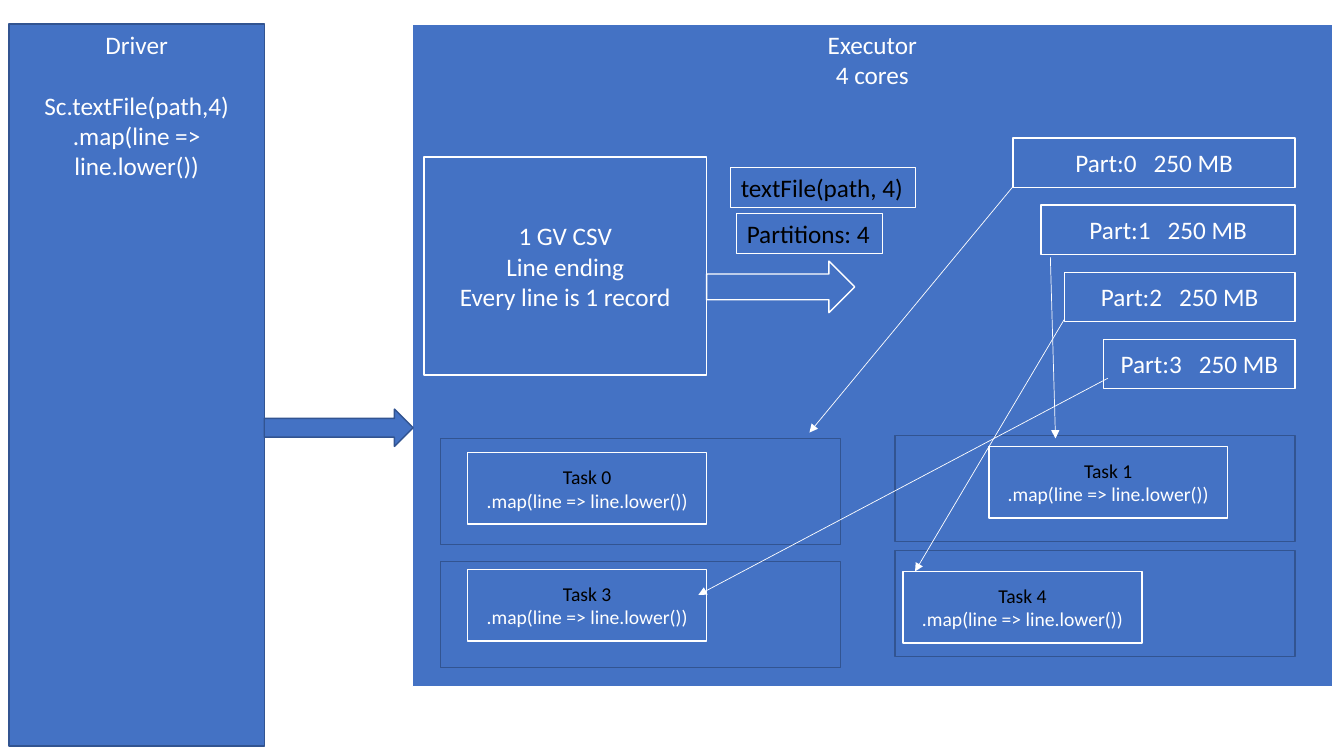
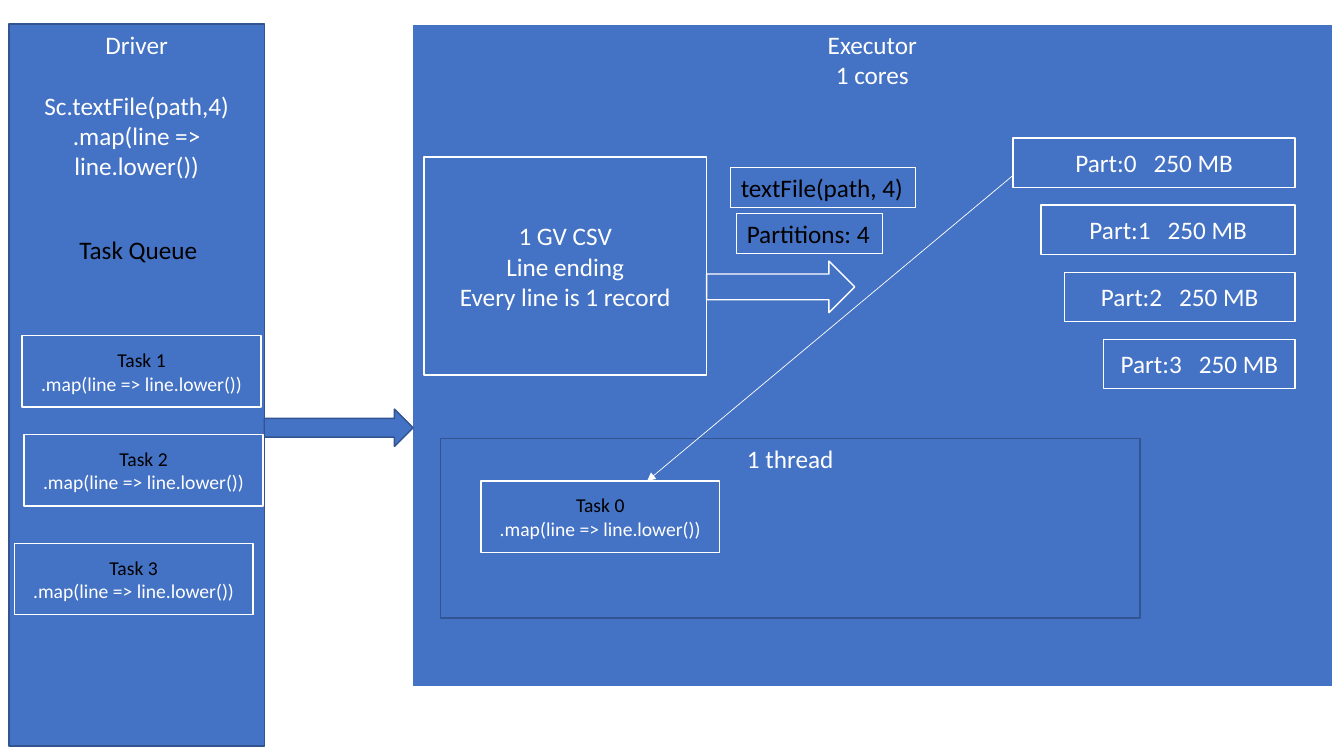
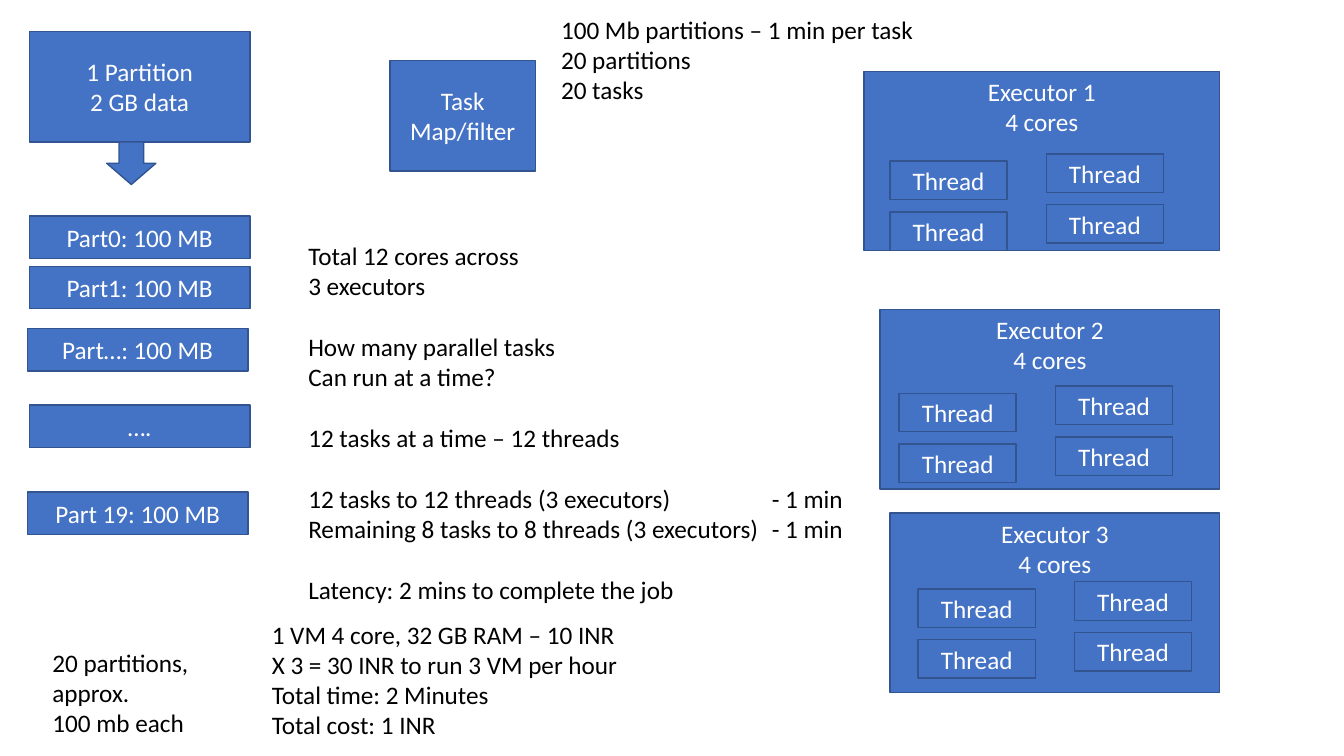
from dataclasses import dataclass

from lxml import etree
from pptx import Presentation
from pptx.dml.color import RGBColor
from pptx.enum.shapes import MSO_CONNECTOR, MSO_SHAPE
from pptx.enum.text import MSO_ANCHOR, MSO_AUTO_SIZE, PP_ALIGN
from pptx.oxml.ns import qn
from pptx.util import Cm, Pt

RECT = MSO_SHAPE.RECTANGLE
RIGHT_ARROW = MSO_SHAPE.RIGHT_ARROW
DOWN_ARROW = MSO_SHAPE.DOWN_ARROW
STRAIGHT = MSO_CONNECTOR.STRAIGHT
TOP, MIDDLE = MSO_ANCHOR.TOP, MSO_ANCHOR.MIDDLE
LEFT, CENTER = PP_ALIGN.LEFT, PP_ALIGN.CENTER
FIT_SHAPE = MSO_AUTO_SIZE.SHAPE_TO_FIT_TEXT


@dataclass(frozen=True)
class Theme:
    """Colours, type and line weights shared by all slides."""
    font: str = "Calibri"
    body: float = 18
    small: float = 14
    skipped_line: float = 22
    wide_space: float = 8
    blue: RGBColor = RGBColor(0x44, 0x72, 0xC4)
    edge: RGBColor = RGBColor(0x32, 0x54, 0x91)
    white: RGBColor = RGBColor(0xFF, 0xFF, 0xFF)
    black: RGBColor = RGBColor(0, 0, 0)
    outline: float = 1
    label_outline: float = 0.75
    link: float = 0.5


THEME = Theme()


@dataclass(frozen=True)
class Box:
    """A region of the slide in centimetres."""
    left: float
    top: float
    width: float
    height: float

    def inner(self, dx, dy, width, height):
        """Return a box placed relative to this one."""
        return Box(self.left + dx, self.top + dy, width, height)

    def point(self, dx, dy):
        """Return a point placed relative to this box."""
        return Cm(self.left + dx), Cm(self.top + dy)

    def lengths(self):
        """Return left, top, width and height as lengths."""
        return Cm(self.left), Cm(self.top), Cm(self.width), Cm(self.height)


@dataclass(frozen=True)
class Line:
    """A line of text with its colour, gap above, wide space and tab stop."""
    text: str
    color: RGBColor = None
    skip: bool = False
    wide_after: str = ""
    tab: float = 0


def write(frame, lines, color, size, align):
    """Write the lines as paragraphs of a text frame."""
    for index, entry in enumerate(lines):
        line = entry if isinstance(entry, Line) else Line(entry)
        paragraph = frame.paragraphs[0] if index == 0 else frame.add_paragraph()
        paragraph.alignment = align
        if line.skip:
            paragraph.space_before = Pt(THEME.skipped_line)
        if line.tab:
            tabs = etree.SubElement(paragraph._p.get_or_add_pPr(), qn("a:tabLst"))
            etree.SubElement(tabs, qn("a:tab"), pos=str(int(Cm(line.tab))), algn="l")
        font = paragraph.font
        font.name, font.size = THEME.font, Pt(size)
        font.color.rgb = line.color or color
        if line.wide_after:
            paragraph.add_run().text = line.wide_after
            space = paragraph.add_run()
            space.text = " "
            space._r.get_or_add_rPr().set("spc", str(int(THEME.wide_space * 100)))
        paragraph.add_run().text = line.text


def add_block(slide, box, lines=(), edge=THEME.edge, anchor=MIDDLE,
              size=THEME.body, kind=RECT):
    """Add a blue outlined shape with centred text."""
    block = slide.shapes.add_shape(kind, *box.lengths())
    block.shadow.inherit = False
    block.fill.solid()
    block.fill.fore_color.rgb = THEME.blue
    block.line.color.rgb = edge
    block.line.width = Pt(THEME.outline)
    block.text_frame.word_wrap = True
    block.text_frame.vertical_anchor = anchor
    write(block.text_frame, lines, THEME.white, size, CENTER)


def add_note(slide, box, lines, wrap=False, outlined=False):
    """Add black text without a fill."""
    note = slide.shapes.add_textbox(*box.lengths())
    note.text_frame.word_wrap = wrap
    note.text_frame.auto_size = FIT_SHAPE
    if outlined:
        note.line.color.rgb = THEME.white
        note.line.width = Pt(THEME.label_outline)
    write(note.text_frame, lines, THEME.black, THEME.body, LEFT)


def add_link(slide, start, end):
    """Add a thin white arrow between two points."""
    link = slide.shapes.add_connector(STRAIGHT, *start, *end)
    link.line.color.rgb = THEME.white
    link.line.width = Pt(THEME.link)
    etree.SubElement(link.line._get_or_add_ln(), qn("a:tailEnd"), type="triangle")
    etree.SubElement(link._element.spPr, qn("a:effectLst"))


def add_task(slide, region, dx, dy, number):
    """Add a numbered map task inside a region."""
    lines = [Line(f"Task {number}", THEME.black), ".map(line => line.lower())"]
    add_block(slide, region.inner(dx, dy, 6.02, 1.8), lines, THEME.white, size=THEME.small)


def add_driver(slide, box):
    """Draw the driver with its program and the arrow to the executor."""
    program = ["Driver", Line("Sc.textFile(path,4)", skip=True), ".map(line => line.lower())"]
    add_block(slide, box, program, anchor=TOP)
    add_block(slide, box.inner(box.width, 9.7, 3.75, 0.94), kind=RIGHT_ARROW)


def add_executor(slide, box, cores):
    """Draw the executor that splits a file into partitions."""
    add_block(slide, box, ["Executor", f"{cores} cores"], THEME.white, TOP)
    file_lines = ["1 GV CSV", "Line ending", "Every line is 1 record"]
    add_block(slide, box.inner(0.3, 3.35, 7.11, 5.49), file_lines, THEME.white)
    add_block(slide, box.inner(7.42, 5.97, 3.73, 1.3), edge=THEME.white, kind=RIGHT_ARROW)
    add_note(slide, box.inner(8.18, 4.77, 3.66, 1.02), ["Partitions: 4"], outlined=True)
    add_note(slide, box.inner(8.03, 3.61, 4.65, 1.02), ["textFile(path, 4)"], outlined=True)
    parts_right, parts_top, part_step = 22.25, 2.87, 1.69
    for number, width in enumerate((7.11, 6.4, 5.82, 4.83)):
        part = box.inner(parts_right - width, parts_top + number * part_step, width, 1.24)
        add_block(slide, part, [Line("250 MB", wide_after=f"Part:{number}")], THEME.white)


def add_cores(slide, executor):
    """Draw four cores, each with a task fed by one partition."""
    cores = (
        (0.71, 10.44, 0.69, 0.36, 0),
        (12.17, 10.36, 2.36, 0.28, 1),
        (0.71, 13.54, 0.69, 0.2, 3),
        (12.17, 13.26, 0.2, 0.53, 4),
    )
    for left, top, task_dx, task_dy, number in cores:
        core = executor.inner(left, top, 10.08, 2.67)
        add_block(slide, core)
        add_task(slide, core, task_dx, task_dy, number)
    links = (
        ((15.14, 4.09), (10.01, 10.29)),
        ((16.08, 5.87), (16.21, 10.44)),
        ((16.43, 7.44), (12.67, 13.79)),
        ((17.53, 8.92), (7.21, 14.38)),
    )
    for start, end in links:
        add_link(slide, executor.point(*start), executor.point(*end))


def add_single_thread(slide, executor):
    """Draw the only thread with its running task."""
    thread = executor.inner(0.71, 10.44, 17.63, 4.52)
    add_block(slide, thread, ["1 thread"], anchor=TOP)
    add_task(slide, thread, 1.02, 1.07, 0)
    add_link(slide, executor.point(15.14, 3.81), executor.point(5.92, 11.51))


def add_task_queue(slide, driver):
    """Draw the tasks that wait in the driver."""
    add_note(slide, driver.inner(1.52, 5.16, 3.51, 1.02), ["Task Queue"])
    for number, (dx, dy) in enumerate(((0.33, 7.85), (0.38, 10.34), (0.13, 13.08)), 1):
        add_task(slide, driver, dx, dy, number)


def add_partitions(slide, box):
    """Draw the large partition and the parts it is split into."""
    add_block(slide, box.inner(0, 0, box.width, 2.79), ["1 Partition", "2 GB data"])
    add_block(slide, box.inner(1.95, 2.79, 1.24, 1.07), kind=DOWN_ARROW)
    parts = (
        (0, 4.65, "Part0: 100 MB"),
        (0, 5.92, "Part1: 100 MB"),
        (-0.05, 7.49, "Part…: 100 MB"),
        (0, 9.42, "…."),
        (-0.05, 11.61, "Part 19: 100 MB"),
    )
    for dx, dy, text in parts:
        add_block(slide, box.inner(dx, dy, box.width, 1.07), [text])


def add_thread_pool(slide, box, number, dx, dy):
    """Draw an executor with a two by two grid of threads."""
    add_block(slide, box, [f"Executor {number}", "4 cores"], anchor=TOP)
    column_step, row_step, lift = 3.94, 1.28, 0.18
    for row in range(2):
        for column in range(2):
            left = dx + column * column_step
            top = dy + row * row_step - column * lift
            add_block(slide, box.inner(left, top, 2.95, 0.97), ["Thread"])


def add_cluster(slide, box):
    """Draw the three executors, aligned on their right edge."""
    pools = ((0, 8.97, 0.66, 2.26), (6, 8.56, 0.48, 2.11), (11.13, 8.31, 0.71, 1.91))
    for number, (top, width, dx, dy) in enumerate(pools, 1):
        pool = box.inner(box.width - width, top, width, 4.52)
        add_thread_pool(slide, pool, number, dx, dy)


def add_estimate(slide, box):
    """Write the workload, latency and cost notes."""
    add_block(slide, box.inner(9.83, 1.52, 3.66, 2.79), ["Task", "Map/filter"])
    add_note(slide, box.inner(13.89, 0.23, 9.5, 2.57),
             ["100 Mb partitions – 1 min per task", "20 partitions", "20 tasks"])
    latency = [
        "Total 12 cores across",
        "3 executors",
        Line("How many parallel tasks", skip=True),
        "Can run at a time?",
        Line("12 tasks at a time – 12 threads", skip=True),
        Line("12 tasks to 12 threads (3 executors)\t- 1 min", skip=True, tab=11.68),
        Line("Remaining 8 tasks to 8 threads (3 executors)\t- 1 min", tab=11.68),
        Line("Latency: 2 mins to complete the job", skip=True),
    ]
    add_note(slide, box.inner(7.52, 5.92, 15.16, 9.5), latency, wrap=True)
    add_note(slide, box.inner(1.07, 16.18, 5.18, 2.57),
             ["20 partitions, approx.", "100 mb each"], wrap=True)
    cost = [
        "1 VM 4 core, 32 GB RAM – 10 INR",
        "X 3 = 30 INR to run 3 VM per hour",
        "Total time: 2 Minutes",
        "Total cost: 1 INR",
    ]
    add_note(slide, box.inner(6.6, 15.47, 14.58, 3.33), cost, wrap=True)


def main():
    """Build the three slides and save them."""
    deck = Presentation()
    page = Box(0, 0, 33.87, 19.05)
    deck.slide_width, deck.slide_height = Cm(page.width), Cm(page.height)
    four_cores, one_core, cluster = (
        deck.slides.add_slide(deck.slide_layouts[6]) for _ in range(3))
    driver = page.inner(0.23, 0.61, 6.43, 18.19)
    executor = page.inner(10.39, 0.61, 23.19, 16.69)
    for slide, cores in ((four_cores, 4), (one_core, 1)):
        add_executor(slide, executor, cores)
        add_driver(slide, driver)
    add_cores(four_cores, executor)
    add_single_thread(one_core, executor)
    add_task_queue(one_core, driver)
    add_cluster(cluster, page.inner(21.77, 1.8, 8.97, 15.65))
    add_partitions(cluster, page.inner(0.74, 0.79, 5.56, 12.68))
    add_estimate(cluster, page)
    deck.save("out.pptx")


if __name__ == "__main__":
    main()
